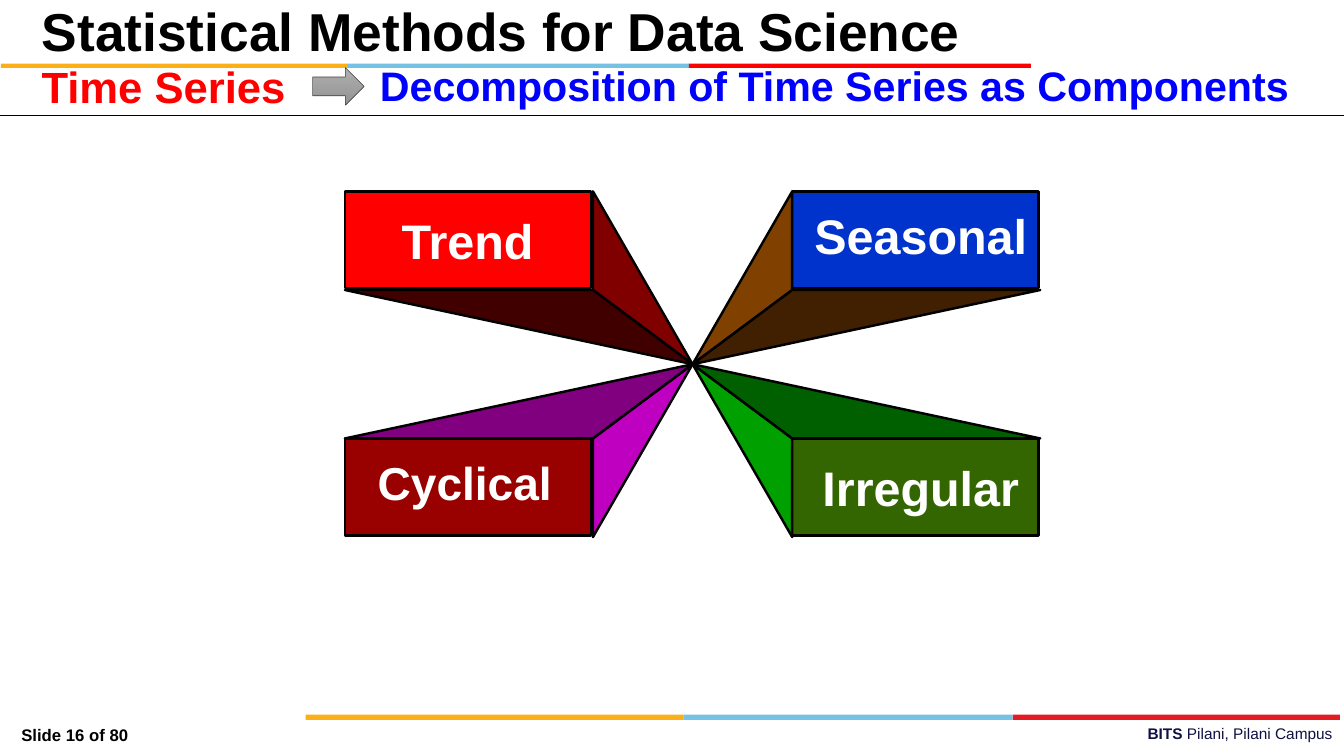
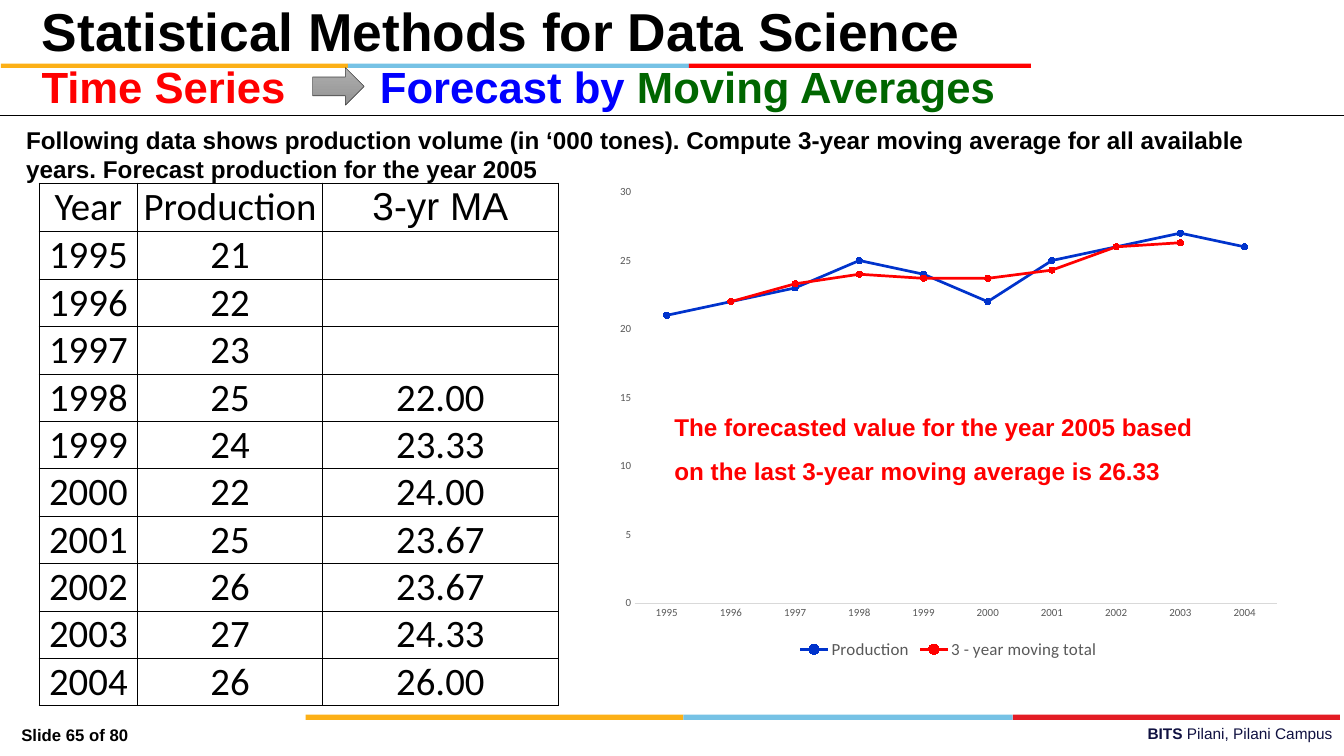
from dataclasses import dataclass
from itertools import pairwise

from lxml import etree
from pptx import Presentation
from pptx.chart.data import CategoryChartData
from pptx.dml.color import RGBColor
from pptx.enum.chart import XL_CHART_TYPE, XL_LEGEND_POSITION, XL_MARKER_STYLE, XL_TICK_MARK
from pptx.enum.shapes import MSO_CONNECTOR, MSO_SHAPE
from pptx.enum.text import MSO_ANCHOR, PP_ALIGN
from pptx.oxml.ns import qn
from pptx.util import Cm, Pt

COLORS = {
    "black": "000000", "white": "FFFFFF", "navy": "101141",
    "red": "FF0000", "blue": "0000FF", "green": "006600",
    "amber": "FCB017", "sky": "76C2E5", "crimson": "E31C24",
    "arrow_top": "AFAFAF", "arrow_bottom": "939393", "arrow_edge": "404040",
    "axis_text": "595959", "axis_line": "D9D9D9", "production": "0033CC",
    "trend": "FF0000", "trend_side": "800000", "trend_base": "400000",
    "cyclical": "990000", "cyclical_side": "C000C0", "cyclical_base": "800080",
    "seasonal": "0033CC", "seasonal_side": "804000", "seasonal_base": "402000",
    "irregular": "336600", "irregular_side": "00A000", "irregular_base": "006000",
}
SLIDE_WIDTH, SLIDE_HEIGHT = 39.12, 22
HUB_X, HUB_Y = 20.16, 10.6

YEARS = [str(year) for year in range(1995, 2005)]
PRODUCTION = [21, 22, 23, 25, 24, 22, 25, 26, 27, 26]
SPAN = 3
AVERAGES = [sum(PRODUCTION[i:i + SPAN]) / SPAN for i in range(len(PRODUCTION) - SPAN + 1)]


@dataclass(frozen=True)
class Box:
    """Left, top, width and height in centimetres."""
    left: float
    top: float
    width: float
    height: float

    def emu(self) -> tuple:
        return Cm(self.left), Cm(self.top), Cm(self.width), Cm(self.height)


@dataclass(frozen=True)
class Words:
    text: str
    size: float
    color: str = "black"
    bold: bool = True
    font: str = "Arial"


@dataclass(frozen=True)
class Band:
    """Three coloured segments between four horizontal stops."""
    top: float
    height: float
    stops: tuple
    colors: tuple


@dataclass(frozen=True)
class Component:
    """One arm of the pinwheel; side_x and side_y are -1 or 1 from the hub."""
    name: str
    size: float
    side_x: int
    side_y: int
    label: Box


BANDS = [
    Band(1.85, 0.13, (0.03, 10.13, 20.05, 30.01), ("amber", "sky", "red")),
    Band(20.8, 0.15, (8.9, 19.89, 29.48, 39), ("amber", "sky", "crimson")),
]
COMPONENTS = [
    Component("Trend", 40, -1, -1, Box(10.46, 6.02, 6.3, 1.96)),
    Component("Cyclical", 38, -1, 1, Box(10.24, 13.11, 6.58, 1.88)),
    Component("Seasonal", 40, 1, -1, Box(23.37, 5.87, 6.86, 1.96)),
    Component("Irregular", 40, 1, 1, Box(23.37, 13.21, 6.86, 1.96)),
]


def rgb(color: str) -> RGBColor:
    return RGBColor.from_string(COLORS[color])


def style(shape, fill: str, line_width: float = 0) -> None:
    shape.shadow.inherit = False
    shape.fill.solid()
    shape.fill.fore_color.rgb = rgb(fill)
    if line_width:
        shape.line.color.rgb = rgb("black")
        shape.line.width = Pt(line_width)
    else:
        shape.line.fill.background()


def add_words(paragraph, words: Words) -> None:
    run = paragraph.add_run()
    run.text = words.text
    run.font.name = words.font
    run.font.size = Pt(words.size)
    run.font.bold = words.bold
    run.font.color.rgb = rgb(words.color)


def add_text(slide, box: Box, *runs: Words, align=PP_ALIGN.LEFT,
             anchor=MSO_ANCHOR.TOP, spacing: float = 1.0) -> None:
    frame = slide.shapes.add_textbox(*box.emu()).text_frame
    frame.word_wrap = True
    frame.vertical_anchor = anchor
    paragraph = frame.paragraphs[0]
    paragraph.alignment = align
    paragraph.line_spacing = spacing
    for words in runs:
        add_words(paragraph, words)


def add_band(slide, band: Band) -> None:
    for (start, end), color in zip(pairwise(band.stops), band.colors):
        segment = Box(start, band.top, end - start, band.height)
        style(slide.shapes.add_shape(MSO_SHAPE.RECTANGLE, *segment.emu()), color)


def add_topic_arrow(slide) -> None:
    arrow = slide.shapes.add_shape(MSO_SHAPE.RIGHT_ARROW, *Box(9.1, 1.97, 1.5, 1.09).emu())
    arrow.shadow.inherit = False
    arrow.fill.gradient()
    arrow.fill.gradient_angle = 270
    for stop, color in zip(arrow.fill.gradient_stops, ("arrow_top", "arrow_bottom")):
        stop.color.rgb = rgb(color)
    arrow.line.color.rgb = rgb("arrow_edge")
    arrow.line.width = Pt(0.5)


def add_header_rule(slide) -> None:
    rule = slide.shapes.add_connector(
        MSO_CONNECTOR.STRAIGHT, 0, Cm(3.36), Cm(SLIDE_WIDTH), Cm(3.36))
    rule.line.color.rgb = rgb("black")
    rule.line.width = Pt(1.5)
    etree.SubElement(rule.element.spPr, qn("a:effectLst"))


def add_course_slide(prs, number: int, *topic: Words):
    """Add a slide with the course title, topic line, bands and footer."""
    slide = prs.slides.add_slide(prs.slide_layouts[6])
    for band in BANDS:
        add_band(slide, band)
    add_text(slide, Box(14.02, 20.95, 25.02, 0.79), Words("BITS ", 12.7, "navy"),
             Words("Pilani, Pilani Campus", 12.7, "navy", bold=False), align=PP_ALIGN.RIGHT)
    add_text(slide, Box(0.37, 20.98, 6.43, 0.79), Words(f"Slide {number} of 80", 13.8))
    add_text(slide, Box(0.97, 0.12, 32.16, 1.73),
             Words("Statistical Methods for Data Science", 44),
             anchor=MSO_ANCHOR.MIDDLE, spacing=0.9)
    add_text(slide, Box(0.96, 1.63, 8.33, 1.68), Words("Time Series", 36, "red"))
    add_text(slide, Box(10.81, 1.63, 27.43, 1.68), *topic)
    add_topic_arrow(slide)
    add_header_rule(slide)
    return slide


def add_face(slide, color: str, *corners: tuple) -> None:
    start, *others = [(Cm(x), Cm(y)) for x, y in corners]
    builder = slide.shapes.build_freeform(*start, scale=1.0)
    builder.add_line_segments(others, close=True)
    style(builder.convert_to_shape(), color, 2)


def add_component(slide, component: Component) -> None:
    near_x, far_x = (HUB_X + component.side_x * reach for reach in (2.9, 10.12))
    near_y, far_y = (HUB_Y + component.side_y * reach for reach in (2.16, 5.03))
    hub, corner = (HUB_X, HUB_Y), (near_x, near_y)
    key = component.name.lower()
    front = Box(min(near_x, far_x), min(near_y, far_y), 7.17, 2.82)
    style(slide.shapes.add_shape(MSO_SHAPE.RECTANGLE, *front.emu()), key, 2)
    add_face(slide, f"{key}_side", (near_x, far_y), hub, corner)
    add_face(slide, f"{key}_base", (far_x, near_y), hub, corner)
    add_text(slide, component.label, Words(component.name, component.size, "white"),
             align=PP_ALIGN.CENTER)


def add_cell_borders(cell) -> None:
    properties = cell._tc.get_or_add_tcPr()
    for side in ("lnL", "lnR", "lnT", "lnB"):
        border = etree.SubElement(properties, qn(f"a:{side}"), w=str(Pt(1)))
        fill = etree.SubElement(border, qn("a:solidFill"))
        etree.SubElement(fill, qn("a:srgbClr"), val=COLORS["black"])


def add_table(slide, left: float, widths: tuple, rows: list, header_font: str) -> None:
    box = Box(left, 5.33, sum(widths), 15.14)
    table = slide.shapes.add_table(len(rows), len(widths), *box.emu()).table
    table.first_row = table.horz_banding = False
    for column, width in zip(table.columns, widths):
        column.width = Cm(width)
    for r, (row, texts) in enumerate(zip(table.rows, rows)):
        row.height = Cm(1.38 if r else 1.42)
        for cell, text in zip(row.cells, texts):
            add_cell_borders(cell)
            cell.fill.background()
            cell.vertical_anchor = MSO_ANCHOR.MIDDLE
            cell.margin_left = cell.margin_right = Cm(0.02)
            cell.margin_top = cell.margin_bottom = 0
            paragraph = cell.text_frame.paragraphs[0]
            paragraph.alignment = PP_ALIGN.CENTER
            if text:
                font = "Calibri" if r else header_font
                add_words(paragraph, Words(text, 32, bold=False, font=font))


def style_chart_font(font, size: float, color: str) -> None:
    font.name = "Calibri"
    font.size = Pt(size)
    font.color.rgb = rgb(color)


def add_production_chart(slide) -> None:
    data = CategoryChartData()
    data.categories = YEARS
    data.add_series("Production", PRODUCTION)
    data.add_series("3 - year moving total",
                    [None, *(round(average, 1) for average in AVERAGES), None])
    chart = slide.shapes.add_chart(
        XL_CHART_TYPE.LINE_MARKERS, *Box(17.65, 5.12, 19.91, 14.18).emu(), data).chart
    chart.has_title = False
    style_chart_font(chart.font, 10, "black")
    chart.has_legend = True
    chart.legend.position = XL_LEGEND_POSITION.BOTTOM
    chart.legend.include_in_layout = False
    style_chart_font(chart.legend.font, 14, "axis_text")
    for axis in (chart.category_axis, chart.value_axis):
        axis.has_major_gridlines = False
        axis.major_tick_mark = axis.minor_tick_mark = XL_TICK_MARK.NONE
        style_chart_font(axis.tick_labels.font, 9, "axis_text")
    chart.category_axis.format.line.color.rgb = rgb("axis_line")
    chart.category_axis.format.line.width = Pt(0.75)
    chart.value_axis.format.line.fill.background()
    chart.value_axis.minimum_scale, chart.value_axis.maximum_scale = 0, 30
    chart.value_axis.major_unit = 5
    plot = chart.plots[0]
    plot.vary_by_categories = False
    for series, color in zip(plot.series, ("production", "red")):
        series.smooth = False
        series.format.line.color.rgb = rgb(color)
        series.format.line.width = Pt(2.25)
        series.marker.style = XL_MARKER_STYLE.CIRCLE
        series.marker.size = 5
        series.marker.format.fill.solid()
        series.marker.format.fill.fore_color.rgb = rgb(color)
        series.marker.format.line.color.rgb = rgb(color)


def add_decomposition_slide(prs) -> None:
    slide = add_course_slide(
        prs, 16, Words("Decomposition of Time Series as Components", 34, "blue"))
    for component in COMPONENTS:
        add_component(slide, component)


def add_forecast_slide(prs) -> None:
    slide = add_course_slide(prs, 65, Words("Forecast by ", 36, "blue"),
                             Words("Moving Averages", 36, "green"))
    add_text(slide, Box(0.51, 3.51, 37.9, 1.7), Words(
        "Following data shows production volume (in ‘000 tones). Compute 3-year moving average "
        "for all available years. Forecast production for the year 2005", 20))
    yearly = [("Year", "Production"), *zip(YEARS, map(str, PRODUCTION))]
    trailing = [("3-yr MA",), *[("",)] * SPAN,
                *((f"{average:.2f}",) for average in AVERAGES[:-1])]
    add_table(slide, 1.14, (2.87, 5.38), yearly, "Calibri")
    add_production_chart(slide)
    add_table(slide, 9.39, (6.86,), trailing, "Arial")
    add_text(slide, Box(19.38, 11.46, 16.43, 2.92), Words(
        "The forecasted value for the year 2005 based on the last 3-year moving average "
        f"is {AVERAGES[-1]:.2f}", 20, "red"), spacing=1.5)


def main() -> None:
    prs = Presentation()
    prs.slide_width, prs.slide_height = Cm(SLIDE_WIDTH), Cm(SLIDE_HEIGHT)
    add_decomposition_slide(prs)
    add_forecast_slide(prs)
    prs.save("out.pptx")


if __name__ == "__main__":
    main()
